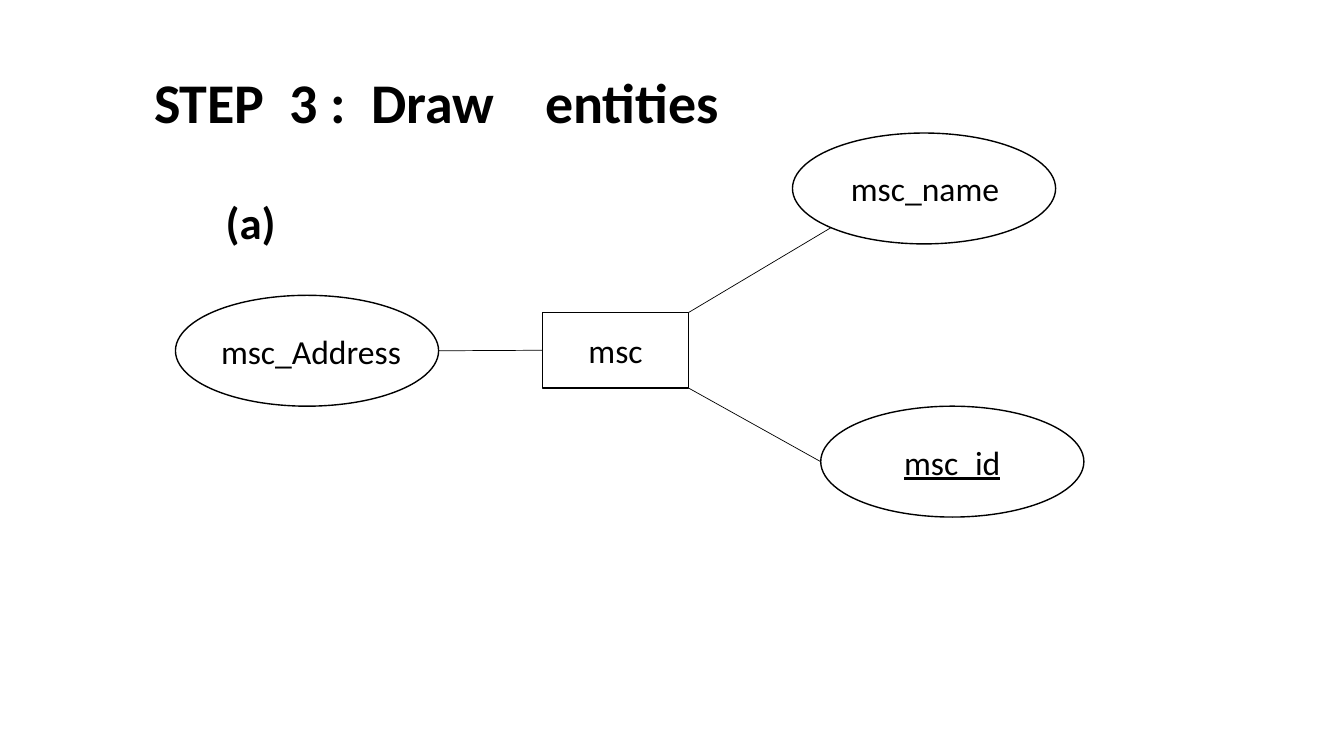
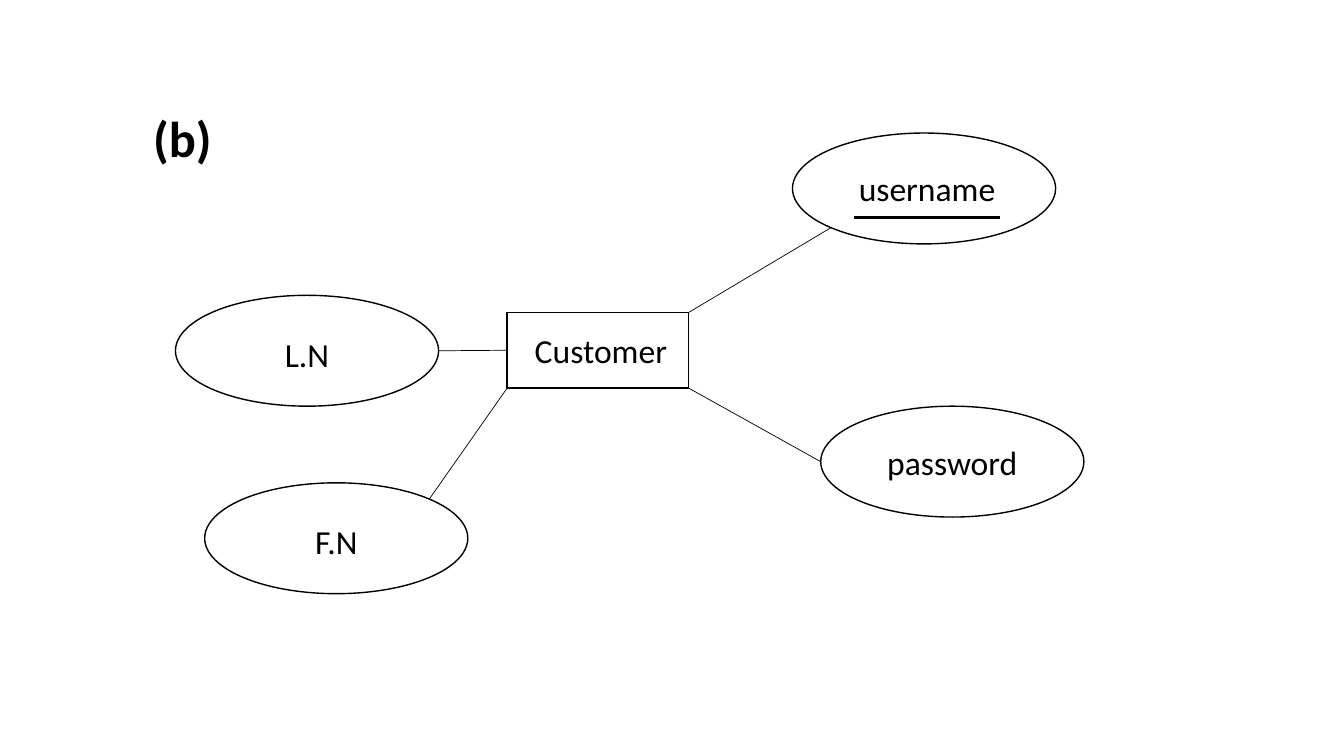
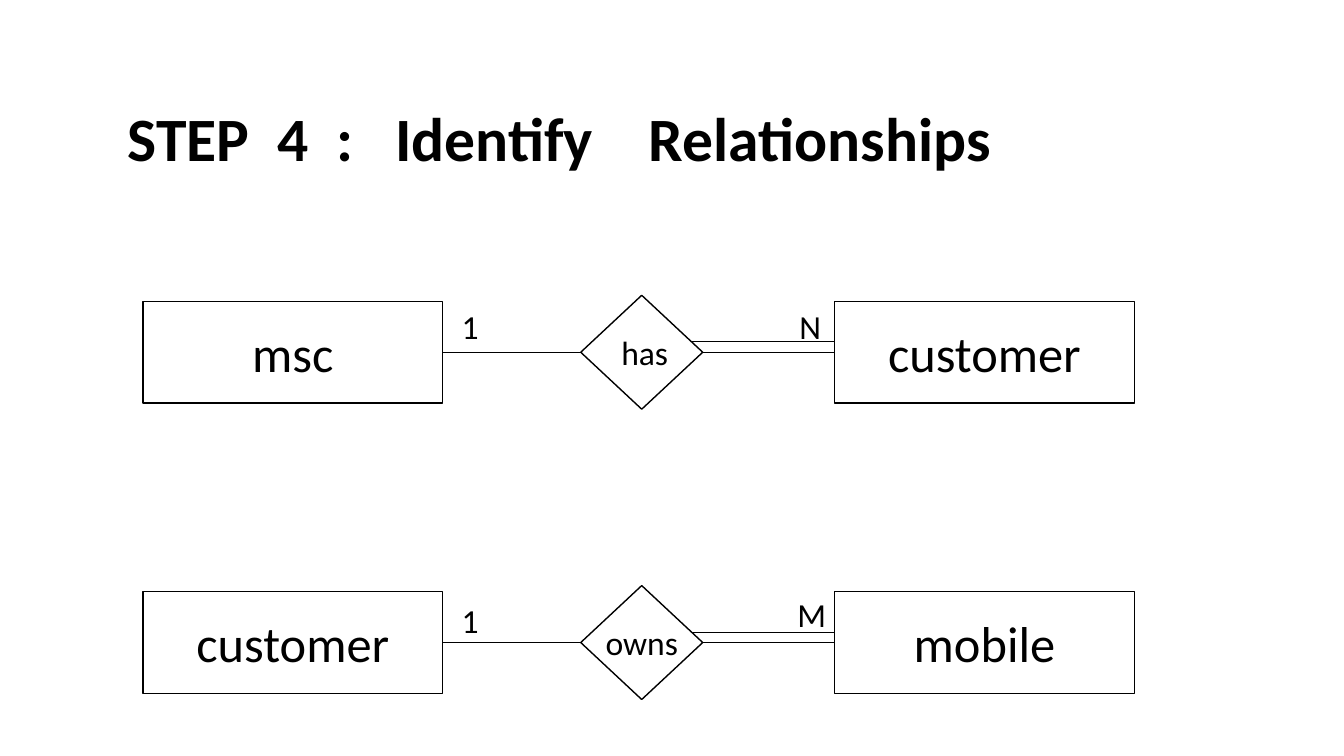
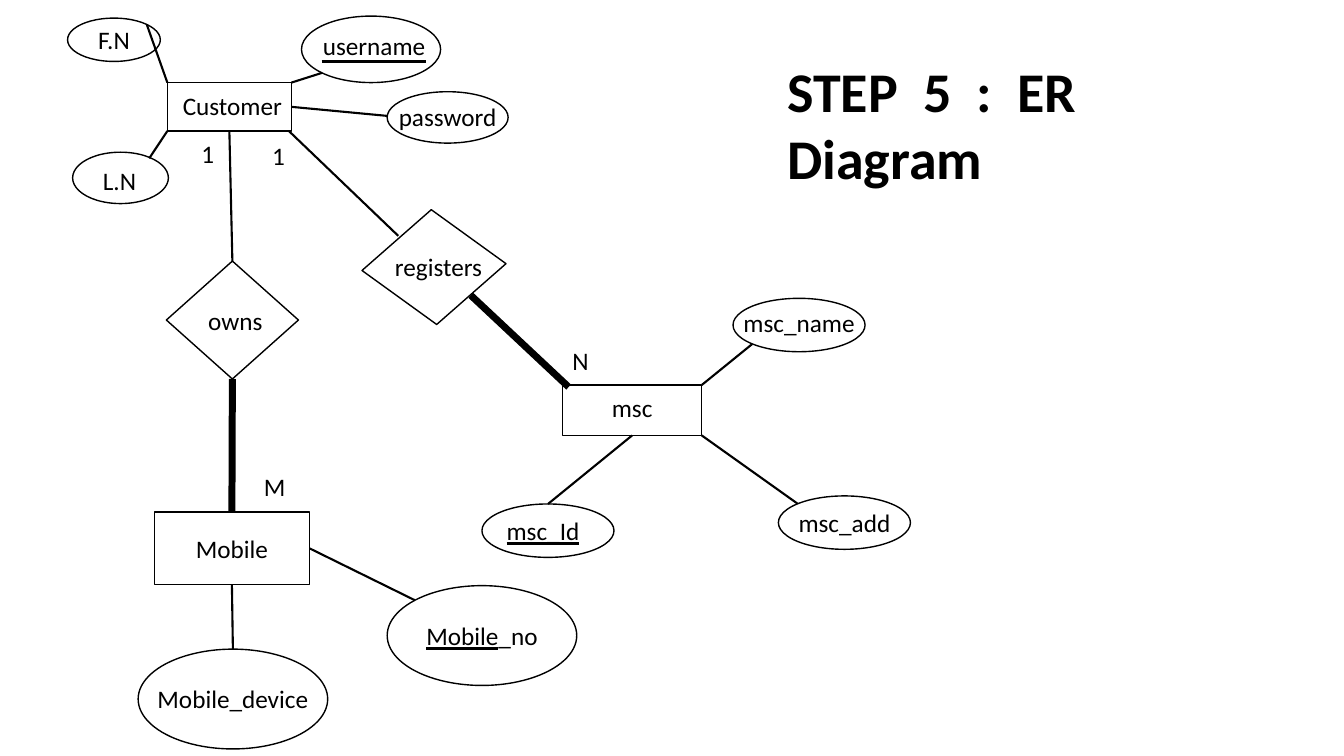
from lxml.etree import SubElement
from pptx import Presentation
from pptx.dml.color import RGBColor
from pptx.enum.shapes import MSO_CONNECTOR, MSO_SHAPE
from pptx.enum.text import MSO_ANCHOR, PP_ALIGN
from pptx.oxml.ns import qn
from pptx.util import Emu, Pt

EMU_PER_PX = 9144  # 100 px to the inch
FONT = "Calibri"
INK = "000000"
ELLIPSE, RECTANGLE, DIAMOND = MSO_SHAPE.OVAL, MSO_SHAPE.RECTANGLE, MSO_SHAPE.DIAMOND
TOP, LEFT, BOTTOM, RIGHT = range(4)
NEAR, FAR = 0.146, 0.854  # where an ellipse's diagonals meet its outline


def px(length):
    return Emu(round(length * EMU_PER_PX))


def color(hex_text):
    return RGBColor.from_string(hex_text)


def write(frame, text, size=24, bold=False, align=PP_ALIGN.CENTER, underlined=""):
    """Fill the frame with one paragraph; `underlined` is the part of its start to underline."""
    paragraph = frame.paragraphs[0]
    paragraph.alignment = align
    for part in (underlined, text.removeprefix(underlined)):
        if part:
            run = paragraph.add_run()
            run.text = part
            font = run.font
            font.name, font.size, font.bold = FONT, Pt(size), bold
            font.underline = part == underlined
            font.color.rgb = color(INK)


def add_label(slide, text, left, top, width, height, wrap=False, align=PP_ALIGN.LEFT, **style):
    box = slide.shapes.add_textbox(px(left), px(top), px(width), px(height))
    box.text_frame.word_wrap = wrap
    write(box.text_frame, text, align=align, **style)


def add_title(slide, text, left, top, width, height, size=40):
    add_label(slide, text, left, top, width, height, wrap=True, size=size, bold=True)


def add_node(slide, kind, text, left, top, width, height, shift=(0, 0), **style):
    """Draw an outlined shape whose centred text is moved by `shift`."""
    shape = slide.shapes.add_shape(kind, px(left), px(top), px(width), px(height))
    shape.shadow.inherit = False
    shape.fill.background()
    shape.line.color.rgb = color(INK)
    shape.line.width = Pt(1)
    frame = shape.text_frame
    frame.word_wrap = False
    frame.vertical_anchor = MSO_ANCHOR.MIDDLE
    across, down = shift
    frame.margin_left, frame.margin_right = px(max(0, 2 * across)), px(max(0, -2 * across))
    frame.margin_top, frame.margin_bottom = px(max(0, 2 * down)), px(max(0, -2 * down))
    if text:
        write(frame, text, **style)
    return shape


def point(shape, across, down):
    """Return the place in px at these fractions of the shape's width and height."""
    return ((shape.left + across * shape.width) / EMU_PER_PX,
            (shape.top + down * shape.height) / EMU_PER_PX)


def add_link(slide, start, end, width=0.5):
    """Draw a line; each end is a place (x, y) or a joint (shape, side)."""
    def is_joint(place):
        return hasattr(place[0], "shape_id")

    (x1, y1), (x2, y2) = [(0, 0) if is_joint(place) else place for place in (start, end)]
    line = slide.shapes.add_connector(MSO_CONNECTOR.STRAIGHT, px(x1), px(y1), px(x2), px(y2))
    if is_joint(start):
        line.begin_connect(*start)
    if is_joint(end):
        line.end_connect(*end)
    line.line.color.rgb = color(INK)
    line.line.width = Pt(width)
    SubElement(line._element.spPr, qn("a:effectLst"))


def add_slide(presentation):
    return presentation.slides.add_slide(presentation.slide_layouts[6])


def add_attribute(slide, text, left, top, **style):
    return add_node(slide, ELLIPSE, text, left, top, 261, 110, **style)


def add_entity_slide(presentation, name, entity_left, left, upper, lower, shift=(0, 0)):
    """Add an entity with three attributes, each given as the keywords of its node."""
    slide = add_slide(presentation)
    entity = add_node(slide, RECTANGLE, name, entity_left, 310, 683 - entity_left, 75, shift=shift)
    left_oval = add_attribute(slide, left=174, top=293, **left)
    upper_oval = add_attribute(slide, left=786, top=132, **upper)
    lower_oval = add_attribute(slide, left=814, top=403, **lower)
    add_link(slide, point(left_oval, 1, 0.5), (entity, LEFT))
    add_link(slide, point(entity, 1, 0), point(upper_oval, NEAR, FAR))
    add_link(slide, point(entity, 1, 1), point(lower_oval, 0, 0.5))
    return slide, entity


def add_relationship(slide, top, source, verb, target, many, one_top, many_box, shift=(0, 0)):
    """Draw a one-to-many row whose many side has a double line."""
    boxes = [add_node(slide, RECTANGLE, name, left, top, 297, 101, size=36)
             for name, left in ((source, 142), (target, 828))]
    diamond = add_node(slide, DIAMOND, verb, 576, top - 6, 121, 113, shift=shift)
    add_link(slide, (boxes[0], RIGHT), (diamond, LEFT))
    add_link(slide, (diamond, RIGHT), (boxes[1], LEFT))
    add_link(slide, (685, top + 40), (827, top + 40))
    add_label(slide, "1", 448, one_top, 37, 50)
    add_label(slide, many, *many_box, 50)


def add_entities(presentation):
    slide, _ = add_entity_slide(
        presentation, "msc", 538,
        left=dict(text="msc_Address", shift=(4, 0)),
        upper=dict(text="msc_name", shift=(1, 0)),
        lower=dict(text="msc_id", underlined="msc_id"))
    add_title(slide, "STEP  3 :  Draw    entities", 143, 62, 599, 77)
    add_title(slide, "(a)", 214, 188, 71, 64, size=32)

    slide, customer = add_entity_slide(
        presentation, "Customer", 503,
        left=dict(text="L.N", shift=(0, 3)),
        upper=dict(text="username", shift=(3, 0)),
        lower=dict(text="password"),
        shift=(3, 0))
    first_name = add_attribute(slide, "F.N", 203, 479, shift=(0, 3))
    add_link(slide, point(first_name, FAR, NEAR), point(customer, 0, 1))
    add_link(slide, (847, 216), (992, 216), 2.5)
    add_title(slide, "(b)", 142, 101, 79, 71, size=36)


def add_relationships(presentation):
    slide = add_slide(presentation)
    add_title(slide, "STEP  4  :   Identify    Relationships", 117, 94, 967, 84, size=44)
    add_relationship(slide, 299, "msc", "has", "customer", "N", 299, (783, 299, 42), shift=(3, 0))
    add_relationship(slide, 587, "customer", "owns", "mobile", "M", 590, (781, 584, 49))


def add_er_diagram(presentation):
    slide = add_slide(presentation)
    add_title(slide, "STEP  5  :  ER   Diagram", 771, 51, 418, 145)

    def node(kind, text, left, top, width, height, **style):
        return add_node(slide, kind, text, left, top, width, height, size=18, **style)

    customer = node(RECTANGLE, "Customer", 166, 82, 123, 48, shift=(3, -1))
    mobile = node(RECTANGLE, "Mobile", 153, 508, 154, 72)
    msc = node(RECTANGLE, "msc", 558, 382, 138, 50, shift=(0, -3))
    owns = node(DIAMOND, "owns", 165, 259, 131, 117, shift=(3, 0))
    registers = node(DIAMOND, "", 359, 208, 143, 114)
    registers.rotation = 357.3
    add_label(slide, "registers", 380, 244, 110, 40, size=18, align=PP_ALIGN.CENTER)

    last_name = node(ELLIPSE, "L.N", 72, 151, 95, 51, shift=(-1, 3))
    first_name = node(ELLIPSE, "F.N", 67, 18, 92, 43)
    username = node(ELLIPSE, "username", 299, 16, 138, 66, shift=(3, -4))
    password = node(ELLIPSE, "password", 384, 91, 120, 51, shift=(0, -1))
    number = node(ELLIPSE, "Mobile_no", 384, 581, 188, 99, underlined="Mobile")
    device = node(ELLIPSE, "Mobile_device", 137, 644, 188, 99, shift=(0, -1))
    msc_name = node(ELLIPSE, "msc_name", 727, 296, 131, 53, shift=(0, -3))
    msc_add = node(ELLIPSE, "msc_add", 772, 492, 131, 53)
    msc_id = node(ELLIPSE, "msc_Id", 478, 500, 131, 53, shift=(-5, 0), underlined="msc_Id")

    for start, end in (
        (point(customer, 0, 1), point(last_name, 0.8, 0.12)),
        (point(customer, 0, 0), point(first_name, FAR, NEAR)),
        (point(customer, 1, 0), point(username, NEAR, FAR)),
        ((customer, RIGHT), point(password, 0, 0.47)),
        ((customer, BOTTOM), (owns, TOP)),
        (point(customer, 0.98, 1), (395, 234)),
        ((mobile, BOTTOM), point(device, 0.5, 0)),
        ((mobile, RIGHT), point(number, NEAR, NEAR)),
        (point(msc, 1, 0), point(msc_name, NEAR, FAR)),
        (point(msc, 1, 1), point(msc_add, NEAR, NEAR)),
        ((msc, BOTTOM), point(msc_id, 0.5, 0)),
    ):
        add_link(slide, start, end, 1.5)
    add_link(slide, (owns, BOTTOM), (mobile, TOP), 5)
    add_link(slide, (467, 293), (564, 384), 5)
    add_link(slide, (319, 61), (423, 61), 2)

    for text, left, top in (("1", 190, 132), ("1", 260, 134), ("M", 252, 463), ("N", 558, 338)):
        add_label(slide, text, left, top, 40, 40, size=18)


def main():
    presentation = Presentation()
    presentation.slide_width, presentation.slide_height = px(1333), px(750)
    add_entities(presentation)
    add_relationships(presentation)
    add_er_diagram(presentation)
    presentation.save("out.pptx")


if __name__ == "__main__":
    main()
